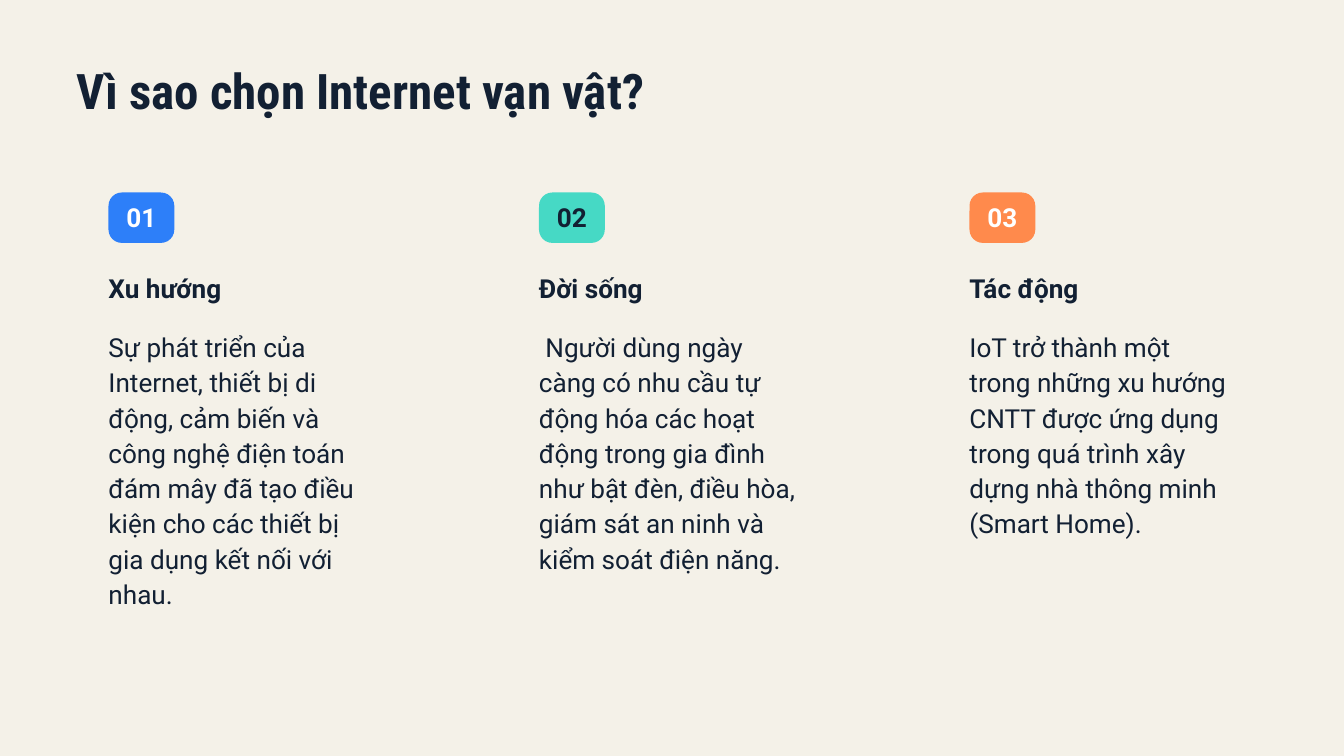
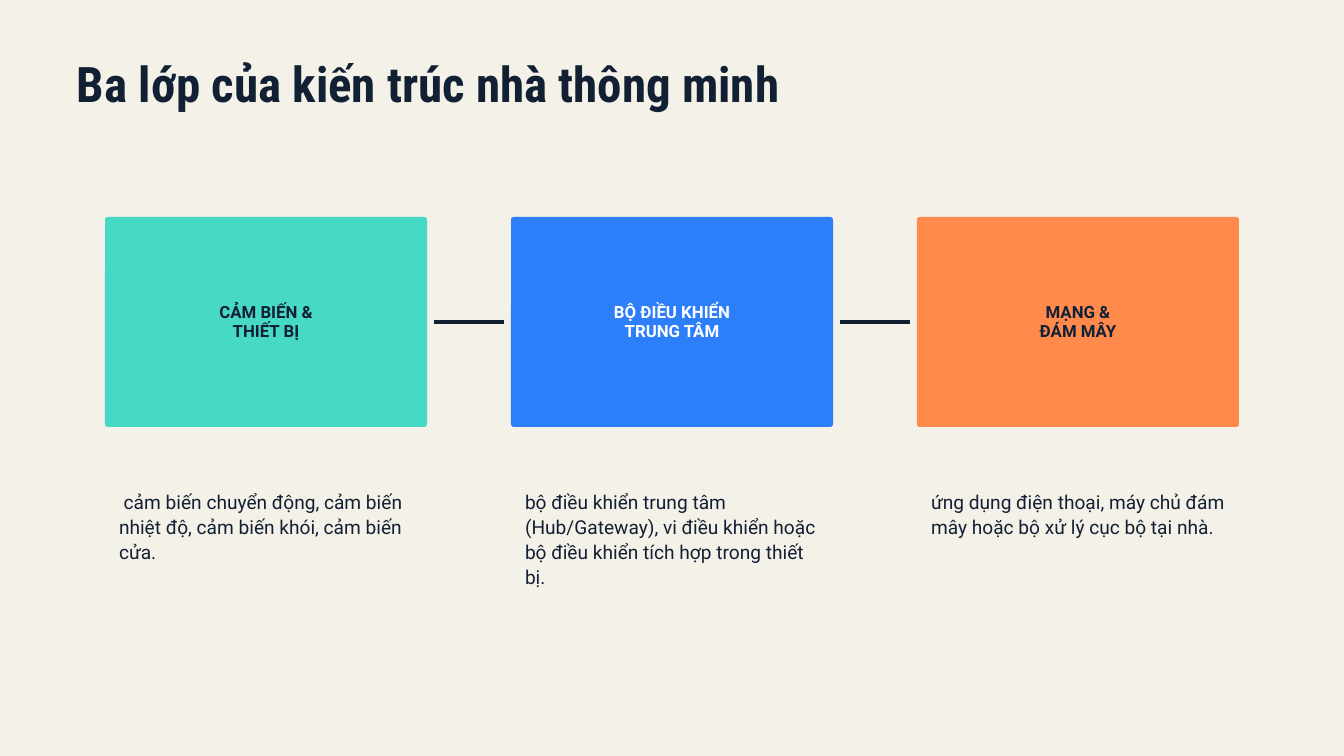
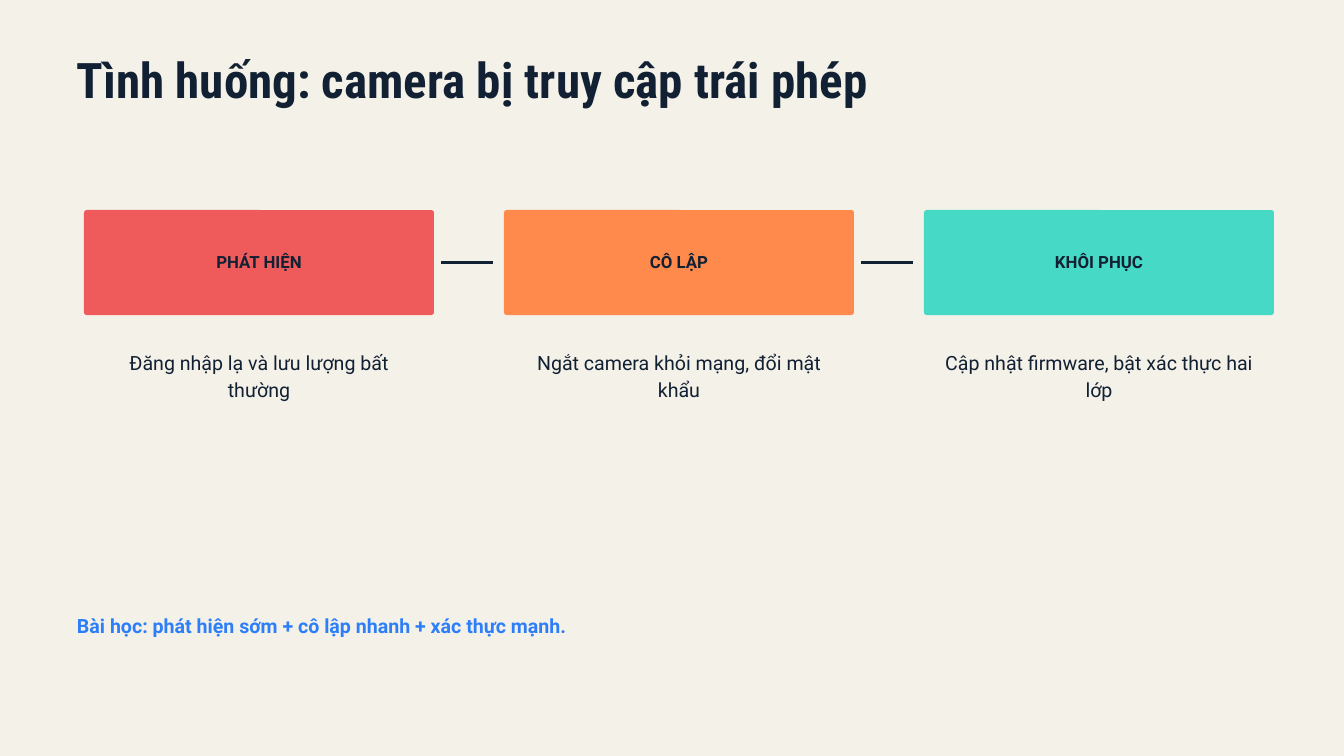
from pptx import Presentation
from pptx.dml.color import RGBColor
from pptx.enum.shapes import MSO_CONNECTOR as Connector, MSO_SHAPE as Shape
from pptx.enum.text import MSO_ANCHOR as Anchor, PP_ALIGN as Align
from pptx.oxml.ns import qn
from pptx.util import Pt
from lxml.etree import SubElement

PX = 9525
CREAM = RGBColor(0xF4, 0xF1, 0xE8)
INK = RGBColor(0x12, 0x20, 0x33)
WHITE = RGBColor(0xFF, 0xFF, 0xFF)
BLUE = RGBColor(0x2D, 0x7F, 0xF9)
TEAL = RGBColor(0x46, 0xD9, 0xC5)
ORANGE = RGBColor(0xFF, 0x8A, 0x4C)
RED = RGBColor(0xEF, 0x5B, 0x5B)
BODY_FONT = "Roboto"
TITLE_FONT = "Roboto Condensed"

REASONS = [
    ("01", BLUE, WHITE, "Xu hướng",
     "Sự phát triển của Internet, thiết bị di động, cảm biến và công nghệ điện toán "
     "đám mây đã tạo điều kiện cho các thiết bị gia dụng kết nối với nhau."),
    ("02", TEAL, INK, "Đời sống",
     " Người dùng ngày càng có nhu cầu tự động hóa các hoạt động trong gia đình "
     "như bật đèn, điều hòa, giám sát an ninh và kiểm soát điện năng."),
    ("03", ORANGE, WHITE, "Tác động",
     "IoT trở thành một trong những xu hướng CNTT được ứng dụng trong quá trình xây "
     "dựng nhà thông minh (Smart Home)."),
]
LAYERS = [
    ("CẢM BIẾN &\nTHIẾT BỊ", TEAL, INK,
     " cảm biến chuyển động, cảm biến nhiệt độ, cảm biến khói, cảm biến cửa."),
    ("BỘ ĐIỀU KHIỂN\nTRUNG TÂM", BLUE, WHITE,
     "bộ điều khiển trung tâm (Hub/Gateway), vi điều khiển hoặc bộ điều khiển "
     "tích hợp trong thiết bị."),
    ("MẠNG &\nĐÁM MÂY", ORANGE, INK,
     "ứng dụng điện thoại, máy chủ đám mây hoặc bộ xử lý cục bộ tại nhà."),
]
RESPONSES = [
    ("PHÁT HIỆN", RED, INK, "Đăng nhập lạ và lưu lượng bất thường"),
    ("CÔ LẬP", ORANGE, INK, "Ngắt camera khỏi mạng, đổi mật khẩu"),
    ("KHÔI PHỤC", TEAL, INK, "Cập nhật firmware, bật xác thực hai lớp"),
]


def emu(*lengths):
    return [length * PX for length in lengths]


def write(frame, text, size, leading, color=INK, bold=False, align=Align.LEFT,
          font=BODY_FONT, inset=0, anchor=Anchor.TOP):
    frame.word_wrap = True
    frame.vertical_anchor = anchor
    frame.margin_left = frame.margin_right = inset * PX
    frame.margin_top = frame.margin_bottom = inset * PX
    frame.text = text
    for paragraph in frame.paragraphs:
        paragraph.alignment = align
        paragraph.line_spacing = Pt(leading)
        for run in paragraph.runs:
            run.font.name = font
            run.font.size = Pt(size)
            run.font.bold = bold
            run.font.color.rgb = color


def add_text(slide, box, text, size, leading, **style):
    write(slide.shapes.add_textbox(*emu(*box)).text_frame, text, size, leading, **style)


def add_card(slide, box, radius, fill, label, size, leading, color):
    card = slide.shapes.add_shape(Shape.ROUNDED_RECTANGLE, *emu(*box))
    card.adjustments[0] = radius / min(box[2:])
    card.shadow.inherit = False
    card.fill.solid()
    card.fill.fore_color.rgb = fill
    card.line.fill.background()
    write(card.text_frame, label, size, leading, color=color, bold=True,
          align=Align.CENTER, inset=6, anchor=Anchor.MIDDLE)


def add_link(slide, left, right, y):
    link = slide.shapes.add_connector(Connector.STRAIGHT, *emu(left, y, right, y))
    link.line.color.rgb = INK
    link.line.width = Pt(3.75)
    SubElement(link._element.spPr, qn("a:effectLst"))


def add_slide(deck, title, top, width):
    slide = deck.slides.add_slide(deck.slide_layouts[6])
    add_text(slide, (110, top, width, 75), title, 52.5, 53.5, bold=True, font=TITLE_FONT)
    return slide


def add_reason(slide, box, reason):
    left, top, width, height = box
    number, fill, number_color, heading, body = reason
    add_card(slide, (left, top, 94, 72), 19, fill, number, 28, 32.2, number_color)
    add_text(slide, (left, top + 116, width, 43), heading, 28, 32.2, bold=True)
    add_text(slide, (left, top + 193, width, height - 193), body, 28, 37.8)


def add_flow(slide, box, pitch, link_length, steps, note_gap, note_height, **note_style):
    left, top, width, height = box
    for index, (label, fill, color, note) in enumerate(steps):
        x = left + index * pitch
        add_card(slide, (x, top, width, height), 4, fill, label, 18, 20.7, color)
        if index < len(steps) - 1:
            link_left = x + width + 10
            add_link(slide, link_left, link_left + link_length, top + height // 2)
        add_text(slide, (x + 20, top + height + note_gap, width - 40, note_height),
                 note, **note_style)


def build_reasons(deck):
    slide = add_slide(deck, "Vì sao chọn Internet vạn vật?", 99, 1300)
    for index, reason in enumerate(REASONS):
        add_reason(slide, (155 + index * 615, 275, 380, 600), reason)


def build_layers(deck):
    slide = add_slide(deck, "Ba lớp của kiến trúc nhà thông minh", 89, 1500)
    add_flow(slide, (150, 310, 460, 300), 580, 100, LAYERS, 88, 140,
             size=20.5, leading=26.6)


def build_incident(deck):
    slide = add_slide(deck, "Tình huống: camera bị truy cập trái phép", 84, 1600)
    add_flow(slide, (120, 300, 500, 150), 600, 75, RESPONSES, 47, 73,
             size=21, leading=28.4, align=Align.CENTER)
    add_text(slide, (110, 871, 1100, 37),
             "Bài học: phát hiện sớm + cô lập nhanh + xác thực mạnh.",
             21, 29.4, color=BLUE, bold=True)


def main():
    deck = Presentation()
    deck.slide_width, deck.slide_height = emu(1920, 1080)
    backdrop = deck.slide_master.background.fill
    backdrop.solid()
    backdrop.fore_color.rgb = CREAM
    build_reasons(deck)
    build_layers(deck)
    build_incident(deck)
    deck.save("out.pptx")


if __name__ == "__main__":
    main()
